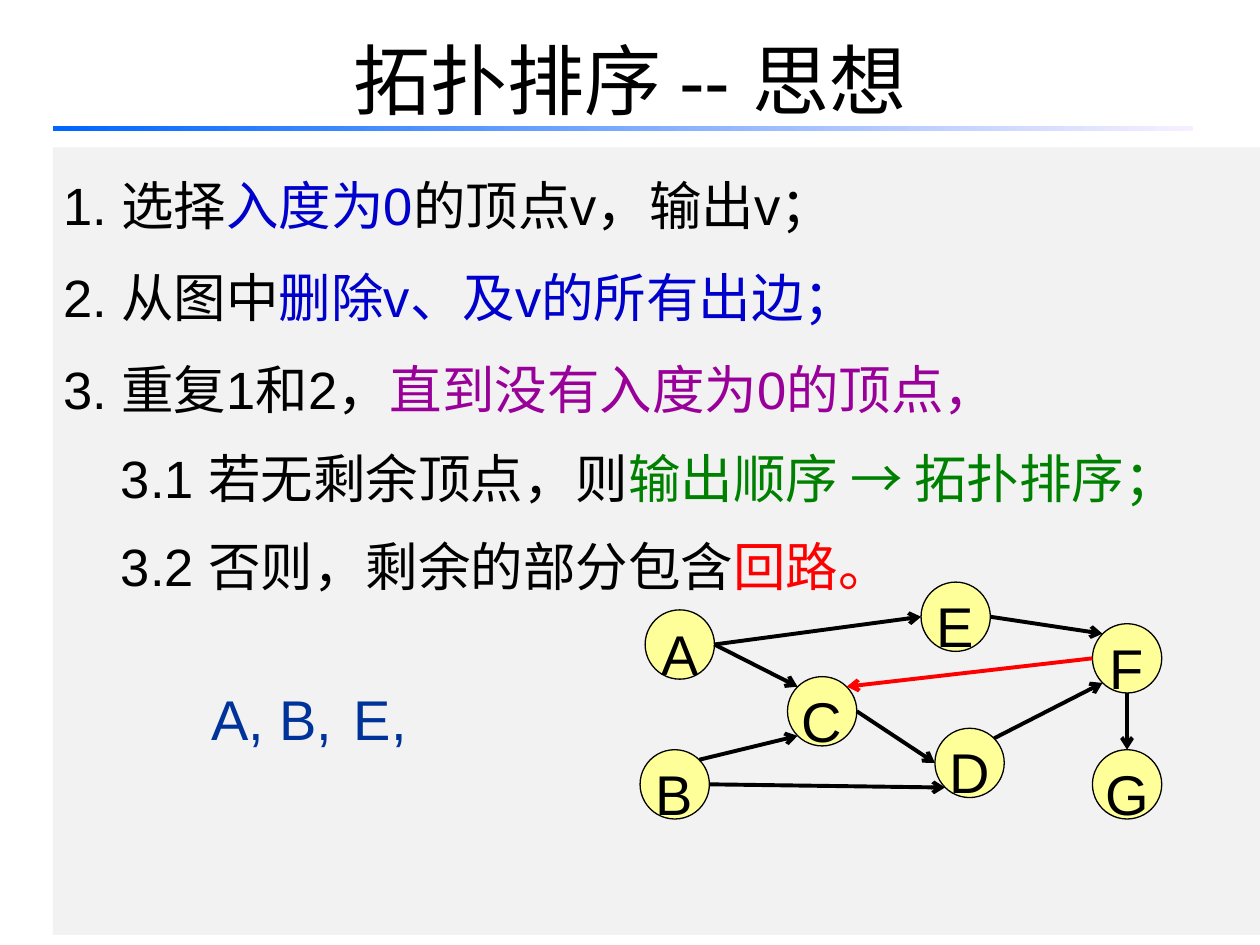
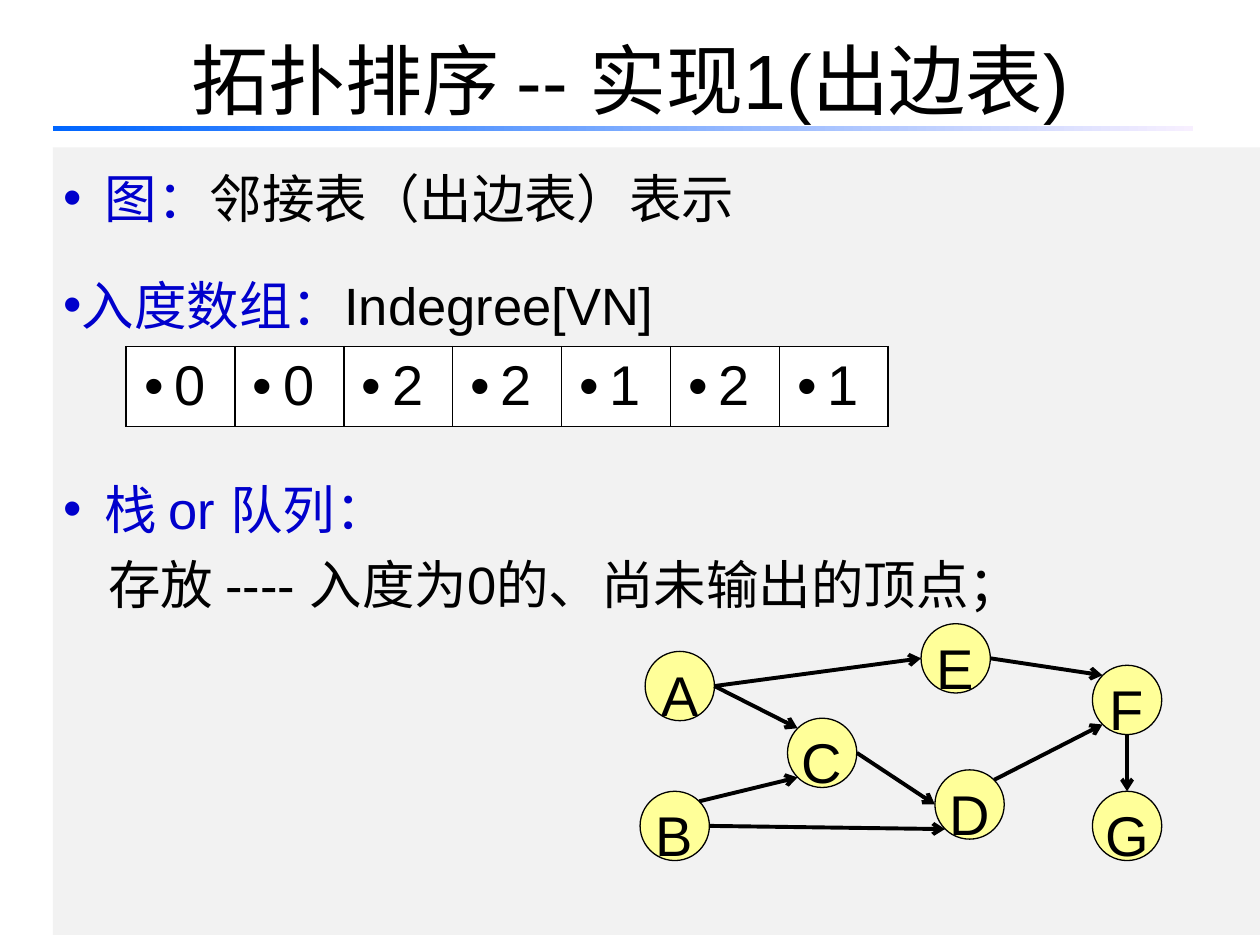
from lxml import etree
from pptx import Presentation
from pptx.dml.color import RGBColor
from pptx.enum.shapes import MSO_CONNECTOR, MSO_SHAPE
from pptx.enum.text import MSO_ANCHOR, PP_ALIGN
from pptx.oxml.ns import qn
from pptx.util import Inches, Pt

STRAIGHT = MSO_CONNECTOR.STRAIGHT
RECTANGLE, OVAL = MSO_SHAPE.RECTANGLE, MSO_SHAPE.OVAL
TOP, MIDDLE = MSO_ANCHOR.TOP, MSO_ANCHOR.MIDDLE
LEFT, CENTER, JUSTIFY = PP_ALIGN.LEFT, PP_ALIGN.CENTER, PP_ALIGN.JUSTIFY

FONT = "Arial"
COLORS = {
    "black": "000000", "white": "FFFFFF", "panel": "F2F2F2",
    "blue": "0000CC", "purple": "990099", "green": "008000",
    "red": "FF0000", "navy": "003399", "node": "FFFF99",
    "rule_start": "0066FF", "rule_end": "F7EFFF",
}

# Graph: node positions (left, top) on the first slide
NODE_SIZE = 0.55
NODES = {
    "A": (5.12, 4.84), "B": (5.08, 5.95), "C": (6.25, 5.37),
    "D": (7.42, 5.78), "E": (7.31, 4.62), "F": (8.67, 4.95),
    "G": (8.67, 5.95),
}
# Directions from a node's centre to a point on its rim
DIAGONAL = 0.71
RIM = {
    "left": (-1, 0), "right": (1, 0), "top": (0, -1), "bottom": (0, 1),
    "top left": (-DIAGONAL, -DIAGONAL), "top right": (DIAGONAL, -DIAGONAL),
    "bottom left": (-DIAGONAL, DIAGONAL),
}
EDGES = [
    ("A", "right", "C", "top left"),
    ("B", "top right", "C", "bottom left"),
    ("B", "right", "D", "bottom left"),
    ("C", "right", "D", "left"),
    ("A", "right", "E", "left"),
    ("D", "top right", "F", "bottom left"),
    ("E", "right", "F", "top left"),
    ("F", "bottom", "G", "top"),
]
CYCLE_EDGE = ("F", "left", "C", "top right")
INDEGREES = [0, 0, 2, 2, 1, 2, 1]


def rgb(color):
    return RGBColor.from_string(COLORS[color])


def add_run(paragraph, text, size, color="black"):
    run = paragraph.add_run()
    run.text = text
    run.font.name = FONT
    run.font.size = Pt(size)
    run.font.color.rgb = rgb(color)


def format_paragraph(paragraph, align, spacing=1.0, before=0,
                     margin=0, indent=0, bullet=False):
    paragraph.alignment = align
    paragraph.line_spacing = spacing
    paragraph.space_before = Pt(before)
    props = paragraph._p.get_or_add_pPr()
    props.set("marL", str(Inches(margin)))
    props.set("indent", str(Inches(indent)))
    if bullet:
        etree.SubElement(props, qn("a:buFont")).set("typeface", FONT)
        etree.SubElement(props, qn("a:buChar")).set("char", "•")


def add_shape(slide, kind, left, top, width, height, fill=None):
    shape = slide.shapes.add_shape(
        kind, Inches(left), Inches(top), Inches(width), Inches(height))
    shape.shadow.inherit = False
    shape.line.fill.background()
    if fill:
        shape.fill.solid()
        shape.fill.fore_color.rgb = rgb(fill)
    return shape


def add_panel(slide, lines):
    """Grey text panel; each line is (runs, paragraph format)."""
    panel = add_shape(slide, RECTANGLE, 0.42, 1.17, 9.58, 6.25, "panel")
    frame = panel.text_frame
    frame.word_wrap = True
    frame.vertical_anchor = TOP
    frame.margin_left = Inches(0.08)
    for i, (runs, layout) in enumerate(lines):
        paragraph = frame.add_paragraph() if i else frame.paragraphs[0]
        format_paragraph(paragraph, JUSTIFY, **layout)
        for text, color in runs:
            add_run(paragraph, text, 30, color)


def add_title(slide, text):
    title = slide.shapes.add_textbox(
        Inches(0.5), Inches(0), Inches(9), Inches(1.25))
    frame = title.text_frame
    frame.word_wrap = True
    frame.vertical_anchor = MIDDLE
    format_paragraph(frame.paragraphs[0], CENTER)
    add_run(frame.paragraphs[0], text, 44)
    # Fading rule under the title
    rule = add_shape(slide, RECTANGLE, 0.42, 1, 9.05, 0.04)
    rule.fill.gradient()
    rule.fill.gradient_angle = 0
    for stop, color in zip(rule.fill.gradient_stops, ("rule_start", "rule_end")):
        stop.color.rgb = rgb(color)


def add_letter(frame, text, align, color="black"):
    frame.word_wrap = False
    format_paragraph(frame.paragraphs[0], align, spacing=1.25, before=9.6)
    add_run(frame.paragraphs[0], text, 32, color)


def rim_point(node, side, drop):
    left, top = NODES[node]
    dx, dy = RIM[side]
    radius = NODE_SIZE / 2
    return (Inches(left + radius * (1 + dx)),
            Inches(top + drop + radius * (1 + dy)))


def add_edge(slide, edge, drop, color="black"):
    source, source_side, target, target_side = edge
    arrow = slide.shapes.add_connector(
        STRAIGHT, *rim_point(source, source_side, drop),
        *rim_point(target, target_side, drop))
    arrow.line.width = Pt(2.25)
    arrow.line.color.rgb = rgb(color)
    etree.SubElement(arrow.line._get_or_add_ln(), qn("a:tailEnd")).set("type", "arrow")
    etree.SubElement(arrow._element.spPr, qn("a:effectLst"))


def add_graph(slide, drop=0):
    for name, (left, top) in NODES.items():
        node = add_shape(slide, OVAL, left, top + drop, NODE_SIZE, NODE_SIZE, "node")
        node.line.color.rgb = rgb("black")
        node.line.width = Pt(0.75)
        node.text_frame.vertical_anchor = MIDDLE
        add_letter(node.text_frame, name, CENTER)
    for edge in EDGES:
        add_edge(slide, edge, drop)


def add_output(slide, text, left):
    box = slide.shapes.add_textbox(
        Inches(left), Inches(5.25), Inches(0.63), Inches(0.77))
    add_letter(box.text_frame, text, LEFT, "navy")


def add_borders(cell):
    props = cell._tc.get_or_add_tcPr()
    for i, side in enumerate(("a:lnL", "a:lnR", "a:lnT", "a:lnB")):
        border = etree.Element(qn(side), w=str(Pt(1)))
        fill = etree.SubElement(border, qn("a:solidFill"))
        etree.SubElement(fill, qn("a:srgbClr")).set("val", COLORS["black"])
        props.insert(i, border)


def add_indegree_table(slide):
    count = len(INDEGREES)
    table = slide.shapes.add_table(
        1, count, Inches(1), Inches(2.75), Inches(6.05), Inches(0.63)).table
    table.first_row = table.horz_banding = False
    for column, degree in enumerate(INDEGREES):
        cell = table.cell(0, column)
        cell.fill.solid()
        cell.fill.fore_color.rgb = rgb("white")
        cell.vertical_anchor = MIDDLE
        cell.margin_left, cell.margin_right = Inches(0.05), Inches(0.14)
        paragraph = cell.text_frame.paragraphs[0]
        format_paragraph(paragraph, CENTER, before=9.6,
                         margin=0.24, indent=-0.24, bullet=True)
        add_run(paragraph, str(degree), 32)
        add_borders(cell)


def build_idea(slide):
    step = {"spacing": 1.3, "margin": 0.56, "indent": -0.56}
    later_step = {**step, "before": 6}
    case = {"spacing": 1.4, "margin": 0.56, "indent": -0.1}
    add_panel(slide, [
        ([("1. 选择", "black"), ("入度为0", "blue"),
          ("的顶点v，输出v；", "black")], step),
        ([("2. 从图中", "black"), ("删除v、及v的所有出边；", "blue")], later_step),
        ([("3. 重复1和2，", "black"),
          ("直到没有入度为0的顶点，", "purple")], later_step),
        ([("3.1 若无剩余顶点，则", "black"),
          ("输出顺序 → 拓扑排序；", "green")], case),
        ([("3.2 否则，剩余的部分包含", "black"), ("回路。", "red")], case),
    ])
    add_title(slide, "拓扑排序 -- 思想")
    add_graph(slide)
    add_edge(slide, CYCLE_EDGE, 0, "red")
    for text, left in (("A,", 1.58), ("B,", 2.12), ("E,", 2.71)):
        add_output(slide, text, left)


def build_implementation(slide):
    item = {"spacing": 1.2, "margin": 0.33, "indent": -0.33, "bullet": True}
    tight_item = {**item, "margin": 0.15, "indent": -0.15}
    add_title(slide, "拓扑排序 -- 实现1(出边表)")
    add_panel(slide, [
        ([("图：", "blue"), ("邻接表（出边表）表示", "black")],
         {**item, "before": 12}),
        ([("入度数组：", "blue"), ("Indegree[VN]", "black")],
         {**tight_item, "before": 18}),
        # The wide gap leaves room for the table
        ([("栈 or 队列：", "blue")], {**item, "before": 73}),
        ([("存放 ---- 入度为0的、尚未输出的顶点；", "black")],
         {"spacing": 1.2, "margin": 0.36}),
    ])
    add_indegree_table(slide)
    add_graph(slide, drop=0.33)


def main():
    deck = Presentation()
    deck.slide_width, deck.slide_height = Inches(10), Inches(7.5)
    blank = deck.slide_layouts[6]
    for build in (build_idea, build_implementation):
        build(deck.slides.add_slide(blank))
    deck.save("out.pptx")


main()
